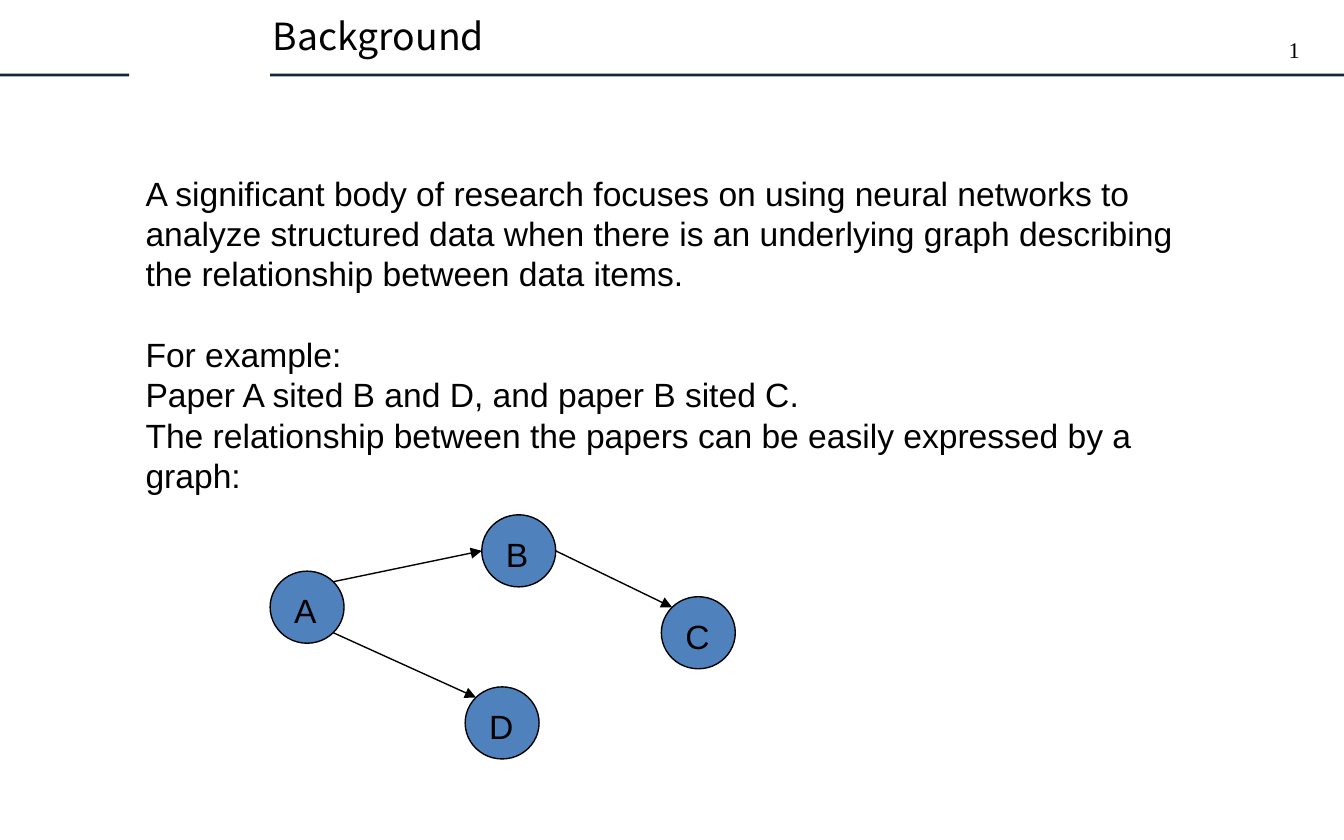
from math import cos, radians, sin

from lxml import etree
from pptx import Presentation
from pptx.dml.color import RGBColor
from pptx.enum.shapes import MSO_CONNECTOR, MSO_SHAPE
from pptx.enum.text import MSO_ANCHOR, PP_ALIGN
from pptx.oxml.ns import qn
from pptx.util import Pt

RECTANGLE, OVAL = MSO_SHAPE.RECTANGLE, MSO_SHAPE.OVAL
STRAIGHT = MSO_CONNECTOR.STRAIGHT
TOP, LEFT = MSO_ANCHOR.TOP, PP_ALIGN.LEFT
BLACK = RGBColor(0x00, 0x00, 0x00)
NAVY = RGBColor(0x0F, 0x24, 0x3E)
BLUE = RGBColor(0x4F, 0x81, 0xBD)

TITLE = {"name": "Noto Sans CJK SC", "size": Pt(20)}
NUMBER = {"name": "Times New Roman", "size": Pt(12)}
BODY = {"name": "Arial", "size": Pt(18)}

BODY_PITCH = 21.6
PARAGRAPHS = [
    ("A significant body of research focuses on using neural networks to analyze "
     "structured data when there is an underlying graph describing the "
     "relationship between data items.", BODY_PITCH),
    ("For example:", 0),
    ("Paper A sited B and D, and paper B sited C.", 0),
    ("The relationship between the papers can be easily expressed by a graph:", 0),
]

NODE_WIDTH, NODE_HEIGHT = 39.6, 38.6
NODES = {"A": (0, 30.2), "B": (113.4, 0), "C": (209.6, 43.9), "D": (104.5, 92.2)}
RIGHT_SIDE, LEFT_SIDE = 0, 180
UPPER_RIGHT, LOWER_RIGHT, UPPER_LEFT = -45, 45, -135
EDGES = [
    ("A", UPPER_RIGHT, "B", LEFT_SIDE),
    ("A", LOWER_RIGHT, "D", UPPER_LEFT),
    ("B", RIGHT_SIDE, "C", UPPER_LEFT),
]


def format_paragraph(paragraph, text, font, **spacing):
    run = paragraph.add_run()
    run.text = text
    run.font.color.rgb = BLACK
    for name, value in font.items():
        setattr(run.font, name, value)
    paragraph.alignment = LEFT
    for name, value in spacing.items():
        setattr(paragraph, name, value)


def add_text_frame(slide, left, top, width, height, wrap=True):
    text_frame = slide.shapes.add_textbox(Pt(left), Pt(top), Pt(width), Pt(height)).text_frame
    text_frame.word_wrap = wrap
    return text_frame


def add_filled_shape(slide, kind, left, top, width, height, color):
    shape = slide.shapes.add_shape(kind, Pt(left), Pt(top), Pt(width), Pt(height))
    shape.shadow.inherit = False
    shape.fill.solid()
    shape.fill.fore_color.rgb = color
    shape.line.fill.background()
    return shape


def add_header(slide, left, top, width):
    rule_top, rule_height = top + 39.4, 1.5
    rule_start = left + 144.7
    add_filled_shape(slide, RECTANGLE, rule_start, rule_top,
                     left + width - rule_start, rule_height, NAVY)
    add_filled_shape(slide, RECTANGLE, left, rule_top, 69.2, rule_height, NAVY)
    title = add_text_frame(slide, left + 139, top + 3.6, 130.3, 31.7, wrap=False)
    format_paragraph(title.paragraphs[0], "Background", TITLE)
    number = add_text_frame(slide, left + width - 36.7, top + 8.6, 22.3, 28.8)
    format_paragraph(number.paragraphs[0], "1", NUMBER, line_spacing=1.5)


def add_body(slide, left, top, width, height):
    text_frame = add_text_frame(slide, left, top, width, height)
    for index, (text, gap) in enumerate(PARAGRAPHS):
        paragraph = text_frame.add_paragraph() if index else text_frame.paragraphs[0]
        format_paragraph(paragraph, text, BODY,
                         line_spacing=Pt(BODY_PITCH), space_after=Pt(gap))


def add_node(slide, label, left, top):
    node = add_filled_shape(slide, OVAL, left, top, NODE_WIDTH, NODE_HEIGHT, BLUE)
    node.line.color.rgb = BLACK
    node.line.width = Pt(0.75)
    node.text_frame.vertical_anchor = TOP
    node.text_frame.margin_top = Pt(4.6)
    format_paragraph(node.text_frame.paragraphs[0], label, BODY)


def find_rim_point(left, top, angle):
    x = left + NODE_WIDTH / 2 * (1 + cos(radians(angle)))
    y = top + NODE_HEIGHT / 2 * (1 + sin(radians(angle)))
    return Pt(x), Pt(y)


def add_arrow(slide, start, end):
    connector = slide.shapes.add_connector(STRAIGHT, *start, *end)
    connector.line.color.rgb = BLACK
    connector.line.width = Pt(0.75)
    etree.SubElement(connector.line._get_or_add_ln(), qn("a:tailEnd"), type="triangle")
    etree.SubElement(connector._element.spPr, qn("a:effectLst"))


def add_graph(slide, left, top):
    places = {label: (left + x, top + y) for label, (x, y) in NODES.items()}
    for label, place in places.items():
        add_node(slide, label, *place)
    for source, source_angle, target, target_angle in EDGES:
        add_arrow(slide, find_rim_point(*places[source], source_angle),
                  find_rim_point(*places[target], target_angle))


def main():
    presentation = Presentation()
    presentation.slide_width, presentation.slide_height = Pt(720), Pt(450)
    slide = presentation.slides.add_slide(presentation.slide_layouts[6])
    add_header(slide, 0, 0, 720)
    add_body(slide, 70.9, 89, 589.7, 225.4)
    add_graph(slide, 144.7, 275.8)
    presentation.save("out.pptx")


if __name__ == "__main__":
    main()
